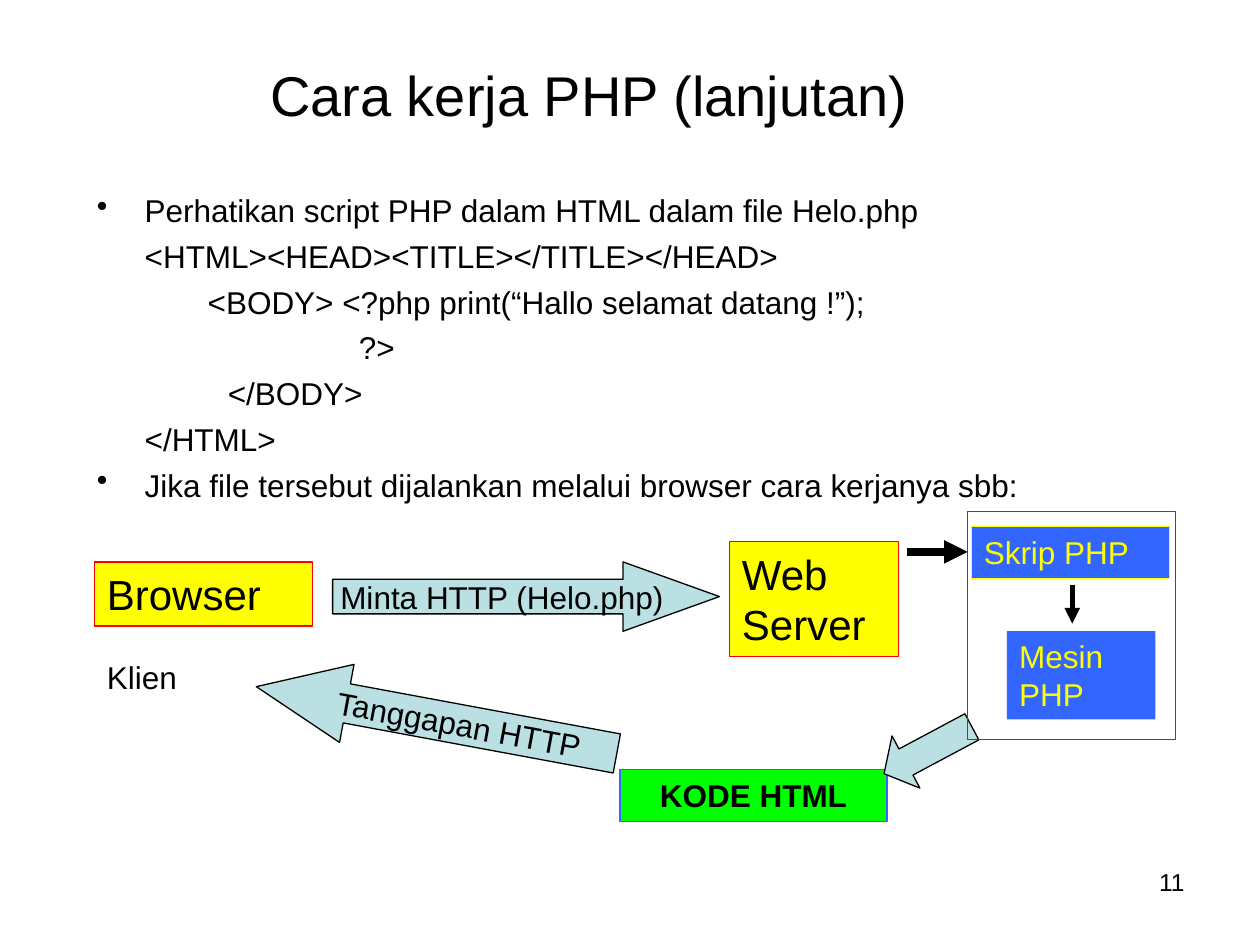
"""Build a slide that shows how PHP works between browser and web server."""
from lxml.etree import SubElement
from pptx import Presentation
from pptx.dml.color import RGBColor
from pptx.enum.shapes import MSO_CONNECTOR, MSO_SHAPE
from pptx.enum.text import MSO_ANCHOR, PP_ALIGN
from pptx.oxml.ns import qn
from pptx.util import Inches, Pt

COLORS = {
    "black": "000000", "yellow": "FFFF00", "red": "FF0000",
    "blue": "3366FF", "green": "00FF00", "teal": "BBE0E3",
}
COLUMN = Inches(10) / 100
ROW = Inches(7.5) / 75
BULLET_INDENT = Inches(0.38)


def grid(left, top, width, height):
    return [round(left * COLUMN), round(top * ROW), round(width * COLUMN), round(height * ROW)]


def write_text(shape, text, size=18, color="black", align=PP_ALIGN.LEFT, bold=False,
               anchor=MSO_ANCHOR.TOP, wrap=True, space=0, hanging=False):
    frame = shape.text_frame
    frame.word_wrap = wrap
    frame.vertical_anchor = anchor
    for index, line in enumerate(text.split("\n")):
        paragraph = frame.paragraphs[0] if index == 0 else frame.add_paragraph()
        bulleted = line.startswith("• ")
        if hanging:
            properties = paragraph._p.get_or_add_pPr()
            properties.set("marL", str(BULLET_INDENT))
            properties.set("indent", str(-BULLET_INDENT))
            if bulleted:
                SubElement(properties, qn("a:buChar")).set("char", "•")
            else:
                SubElement(properties, qn("a:buNone"))
        paragraph.alignment = align
        paragraph.space_before = Pt(space if index else 0)
        run = paragraph.add_run()
        run.text = line.removeprefix("• ")
        run.font.name = "Arial"
        run.font.size = Pt(size)
        run.font.bold = bold
        run.font.color.rgb = RGBColor.from_string(COLORS[color])


presentation = Presentation()
presentation.slide_width = Inches(10)
presentation.slide_height = Inches(7.5)
slide = presentation.slides.add_slide(presentation.slide_layouts[6])
shapes = slide.shapes

steps = """• Perhatikan script PHP dalam HTML dalam file Helo.php
\t<HTML><HEAD><TITLE></TITLE></HEAD>
\t\t<BODY> <?php print(“Hallo selamat datang !”);
                              ?>
               </BODY>
\t</HTML>
• Jika file tersebut dijalankan melalui browser cara kerjanya sbb:"""

texts = [
    ((71.7, 68.3, 23.3, 5), "11", {"size": 14, "align": PP_ALIGN.RIGHT}),
    ((2.9, 2.5, 87.7, 10), "Cara kerja PHP (lanjutan)",
     {"size": 32, "align": PP_ALIGN.CENTER, "anchor": MSO_ANCHOR.MIDDLE}),
    ((6.7, 14.7, 84.3, 48.3), steps, {"space": 4.5, "hanging": True}),
    ((7.5, 51.7, 7.9, 4), "Klien", {}),
]
for area, text, style in texts:
    write_text(shapes.add_textbox(*grid(*area)), text, **style)

arrow_style = {"align": PP_ALIGN.CENTER, "anchor": MSO_ANCHOR.MIDDLE, "wrap": False}
label_style = {"color": "yellow"}
box, right, left = MSO_SHAPE.RECTANGLE, MSO_SHAPE.RIGHT_ARROW, MSO_SHAPE.LEFT_ARROW
diagram = [
    (box, (7.5, 44.6, 17.3, 5.1), "yellow", "red", "Browser", {"size": 24}, 0, None),
    (right, (26.4, 44.6, 30.7, 5.5), "teal", "black", "Minta HTTP (Helo.php)", arrow_style, 0, 1.39),
    (box, (57.9, 43, 13.4, 9.1), "yellow", "red", "Web Server", {"size": 24}, 0, None),
    (box, (49.2, 61.1, 21.2, 4.1), "green", "blue", "KODE HTML",
     {"align": PP_ALIGN.CENTER, "bold": True}, 0, None),
    (left, (20.1, 54, 29.1, 6.3), "teal", "black", "Tanggapan HTTP", arrow_style, 10.5, 1.16),
    (box, (77.1, 41.8, 15.7, 4.1), "blue", "yellow", "Skrip PHP", label_style, 0, None),
    (box, (79.9, 50.1, 11.8, 7), "blue", None, "Mesin PHP", label_style, 0, None),
    (left, (69.7, 57.2, 7.9, 4.7), "teal", "black", "", {}, 331.9, 0.42),
    (box, (76.8, 40.6, 16.5, 18.1), None, "red", "", {}, 0, None),
]
for kind, area, fill, line, text, style, rotation, head in diagram:
    shape = shapes.add_shape(kind, *grid(*area))
    shape.shadow.inherit = False
    shape.rotation = rotation
    if head:
        shape.adjustments[0] = 0.5
        shape.adjustments[1] = head
    if fill:
        shape.fill.solid()
        shape.fill.fore_color.rgb = RGBColor.from_string(COLORS[fill])
    else:
        shape.fill.background()
    if line:
        shape.line.color.rgb = RGBColor.from_string(COLORS[line])
        shape.line.width = Pt(0.75)
    else:
        shape.line.fill.background()
    if text:
        write_text(shape, text, **style)

arrows = [
    ((72, 43.8, 76.8, 43.8), 4.5),
    ((84.7, 47.7, 84.7, 47.7), 0.75),
    ((85.1, 46.4, 85.1, 49.5), 3),
]
for ends, weight in arrows:
    connector = shapes.add_connector(MSO_CONNECTOR.STRAIGHT, *grid(*ends))
    connector.line.color.rgb = RGBColor.from_string(COLORS["black"])
    connector.line.width = Pt(weight)
    SubElement(connector.line._get_or_add_ln(), qn("a:tailEnd")).set("type", "triangle")
    SubElement(connector._element.spPr, qn("a:effectLst"))

presentation.save("out.pptx")
